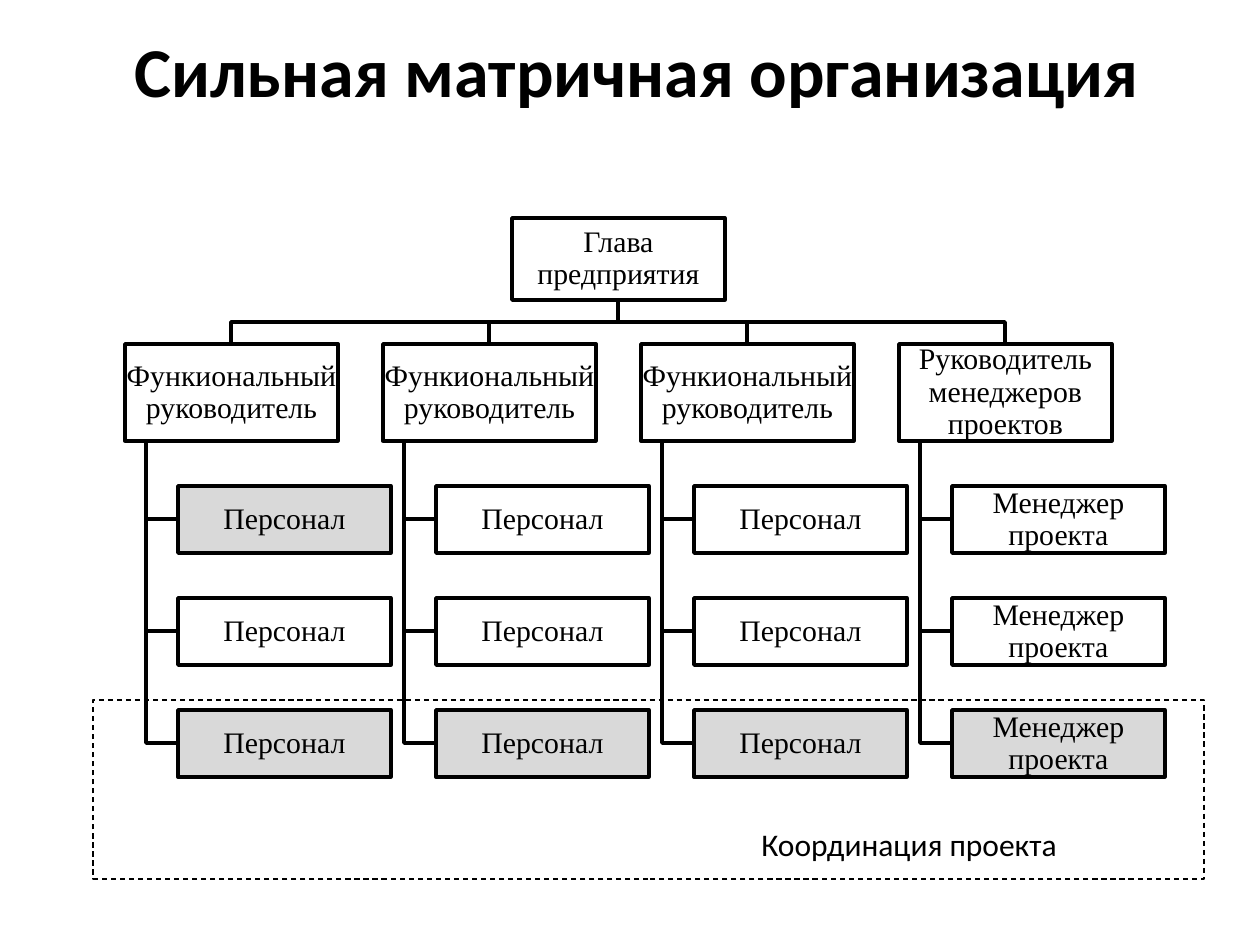
from pptx import Presentation
from pptx.dml.color import RGBColor
from pptx.enum.dml import MSO_LINE
from pptx.enum.shapes import MSO_SHAPE
from pptx.enum.text import MSO_ANCHOR, PP_ALIGN
from pptx.util import Inches, Pt

PX = Inches(10) // 1260  # EMU in one pixel
BLACK = RGBColor(0x00, 0x00, 0x00)
GREY = RGBColor(0xD9, 0xD9, 0xD9)

# Chart grid, in pixels
BOX_W = 213
HEAD_X, HEAD_Y, HEAD_H = 512, 218, 82
COL_X, COL_STEP = 125, 258
LEAD_Y, LEAD_H = 344, 97
STAFF_DX, STAFF_Y, STAFF_STEP, STAFF_H = 53, 486, 112, 67
TRUNK_DX = 21

# Leader, member, rows shown in grey
COLUMNS = [
    ("Функиональный руководитель", "Персонал", {0, 2}),
    ("Функиональный руководитель", "Персонал", {2}),
    ("Функиональный руководитель", "Персонал", {2}),
    ("Руководитель менеджеров проектов", "Менеджер проекта", {2}),
]
ROWS = 3


def px(*values):
    return [v * PX for v in values]


def set_attrs(obj, attrs):
    for name, value in attrs.items():
        setattr(obj, name, value)


def write(sp, text, font, size, align, bold=False, spacing=None, margin=None):
    tf = sp.text_frame
    tf.word_wrap = True
    if margin is not None:
        sides = ("left", "top", "right", "bottom")
        set_attrs(tf, {f"margin_{side}": margin * PX for side in sides})
    p = tf.paragraphs[0]
    set_attrs(p, {"alignment": align, "line_spacing": spacing})
    r = p.add_run()
    r.text = text
    set_attrs(r.font, {"name": font, "size": Pt(size), "bold": bold})
    r.font.color.rgb = BLACK


def outline(sp, width, fill=None):
    sp.shadow.inherit = False
    if fill is None:
        sp.fill.background()
    else:
        sp.fill.solid()
        sp.fill.fore_color.rgb = fill
    sp.line.color.rgb = BLACK
    sp.line.width = Pt(width)


def add_rect(s, x, y, w, h, width, fill=None):
    sp = s.shapes.add_shape(MSO_SHAPE.RECTANGLE, *px(x, y, w, h))
    outline(sp, width, fill)
    return sp


def add_box(s, x, y, h, text, fill=None):
    sp = add_rect(s, x, y, BOX_W, h, 2, fill)
    sp.text_frame.vertical_anchor = MSO_ANCHOR.MIDDLE
    write(sp, text, "Times New Roman", 17, PP_ALIGN.CENTER, spacing=0.9, margin=1)


def add_branch(s, *points):
    start, *rest = [px(*point) for point in points]
    builder = s.shapes.build_freeform(*start)
    builder.add_line_segments(rest, close=False)
    outline(builder.convert_to_shape(), 2)


def add_title(s, text):
    sp = s.shapes.title
    sp.left, sp.top, sp.width, sp.height = px(77, 21, 1119, 97)
    write(sp, text, "Calibri", 40, PP_ALIGN.CENTER, bold=True)


def add_branches(s):
    head_x, head_y = HEAD_X + BOX_W // 2, HEAD_Y + HEAD_H
    bus_y = (head_y + LEAD_Y) // 2
    for col in range(len(COLUMNS)):
        x = COL_X + col * COL_STEP
        lead_x = x + BOX_W // 2
        add_branch(s, (head_x, head_y), (head_x, bus_y),
                   (lead_x, bus_y), (lead_x, LEAD_Y))
        trunk_x = x + TRUNK_DX
        for row in range(ROWS):
            y = STAFF_Y + row * STAFF_STEP + STAFF_H // 2
            add_branch(s, (trunk_x, LEAD_Y + LEAD_H), (trunk_x, y),
                       (x + STAFF_DX, y))


def add_boxes(s):
    add_box(s, HEAD_X, HEAD_Y, HEAD_H, "Глава предприятия")
    for col, (leader, member, grey_rows) in enumerate(COLUMNS):
        x = COL_X + col * COL_STEP
        add_box(s, x, LEAD_Y, LEAD_H, leader)
        for row in range(ROWS):
            add_box(s, x + STAFF_DX, STAFF_Y + row * STAFF_STEP, STAFF_H,
                    member, GREY if row in grey_rows else None)


def add_coordination(s):
    frame = add_rect(s, 93, 700, 1111, 179, 0.75)
    frame.line.dash_style = MSO_LINE.DASH
    label = s.shapes.add_textbox(*px(749, 819, 338, 60))
    write(label, "Координация проекта", "Calibri", 18, PP_ALIGN.LEFT)


def main():
    prs = Presentation()
    prs.slide_width, prs.slide_height = Inches(10), Inches(7.5)
    s = prs.slides.add_slide(prs.slide_layouts[5])
    add_title(s, "Сильная матричная организация")
    # Organisation chart: lines behind, boxes in front
    add_branches(s)
    add_boxes(s)
    # Dashed frame with its label
    add_coordination(s)
    prs.save("out.pptx")


main()
